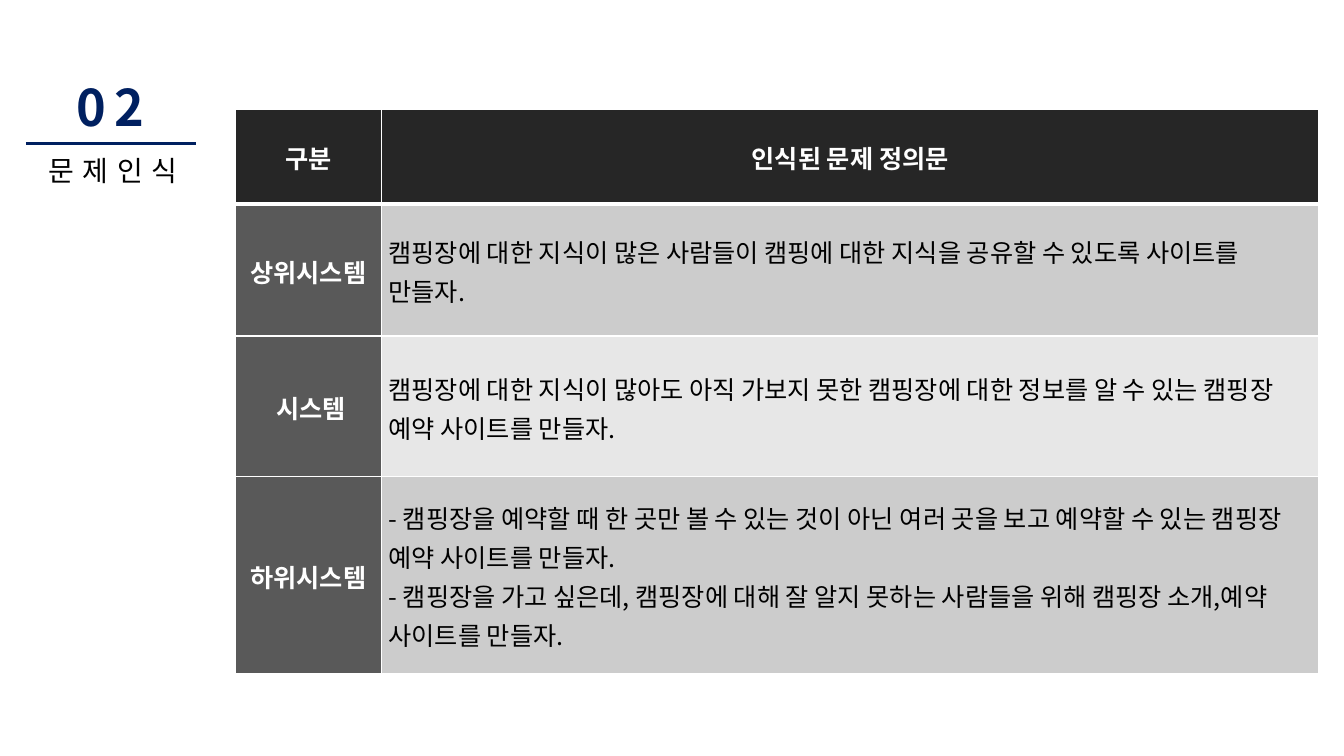
"""Builds the problem-definition slide with its three-level table."""
from lxml.etree import SubElement
from pptx import Presentation
from pptx.dml.color import RGBColor
from pptx.enum.shapes import MSO_CONNECTOR
from pptx.enum.text import MSO_ANCHOR, MSO_AUTO_SIZE, PP_ALIGN
from pptx.oxml.ns import qn
from pptx.util import Pt

FONT = "Noto Sans CJK KR"
COLORS = {"navy": "002060", "black": "000000", "white": "FFFFFF", "header": "262626",
          "label": "595959", "odd": "CCCCCC", "even": "E7E7E7"}
COL_WIDTHS = [104.5, 669.5]
ROW_HEIGHTS = [67.5, 94.5, 100.5, 140.5]
ROWS = [
    ("구분", ["인식된 문제 정의문"]),
    ("상위시스템", ["캠핑장에 대한 지식이 많은 사람들이 캠핑에 대한 지식을 공유할 수 있도록 사이트를 만들자."]),
    (" 시스템", ["캠핑장에 대한 지식이 많아도 아직 가보지 못한 캠핑장에 대한 정보를 알 수 있는 캠핑장 예약 사이트를 만들자."]),
    ("하위시스템", [
        "- 캠핑장을 예약할 때 한 곳만 볼 수 있는 것이 아닌 여러 곳을 보고 예약할 수 있는 캠핑장 예약 사이트를 만들자.",
        "- 캠핑장을 가고 싶은데, 캠핑장에 대해 잘 알지 못하는 사람들을 위해 캠핑장 소개,예약 사이트를 만들자."]),
]


def rgb(name):
    return RGBColor.from_string(COLORS[name])


def set_attrs(obj, **values):
    for key, value in values.items():
        setattr(obj, key, value)


def add_run(p, text, size, color, bold=False, spacing=0):
    r = p.add_run()
    r.text = text
    set_attrs(r.font, size=Pt(size), bold=bold, name=FONT)
    r.font.color.rgb = rgb(color)
    rPr = r.font._element
    SubElement(rPr, qn("a:ea")).set("typeface", FONT)
    if spacing:
        rPr.set("spc", str(spacing * 100))


def add_text(slide, box, text, size, color, align, bold=False):
    sp = slide.shapes.add_textbox(*map(Pt, box))
    tf = sp.text_frame
    set_attrs(tf, word_wrap=False, auto_size=MSO_AUTO_SIZE.SHAPE_TO_FIT_TEXT)
    p = tf.paragraphs[0]
    p.alignment = align
    add_run(p, text, size, color, bold, spacing=6)


def add_rule(slide, x1, x2, y):
    line = slide.shapes.add_connector(MSO_CONNECTOR.STRAIGHT, Pt(x1), Pt(y), Pt(x2), Pt(y))
    line.line.width = Pt(2)
    line.line.color.rgb = rgb("navy")
    SubElement(line._element.spPr, qn("a:effectLst"))


def set_borders(cell, top, bottom):
    tcPr = cell._tc.get_or_add_tcPr()
    for side, width in {"L": 1, "R": 1, "T": top, "B": bottom}.items():
        ln = SubElement(tcPr, qn(f"a:ln{side}"), w=str(Pt(width)))
        fill = SubElement(ln, qn("a:solidFill"))
        SubElement(fill, qn("a:srgbClr"), val=COLORS["white"])


def fill_cell(cell, lines, fill, color, bold, align, borders):
    set_borders(cell, *borders)
    set_attrs(cell, margin_left=Pt(5), margin_right=Pt(5), margin_top=0, margin_bottom=0,
              vertical_anchor=MSO_ANCHOR.MIDDLE)
    cell.fill.solid()
    cell.fill.fore_color.rgb = rgb(fill)
    tf = cell.text_frame
    for i, text in enumerate(lines):
        p = tf.add_paragraph() if i else tf.paragraphs[0]
        set_attrs(p, alignment=align, line_spacing=1.07)
        add_run(p, text, 18, color, bold)


def add_problem_table(slide, left, top):
    size = map(Pt, (left, top, sum(COL_WIDTHS), sum(ROW_HEIGHTS)))
    table = slide.shapes.add_table(len(ROWS), len(COL_WIDTHS), *size).table
    for col, width in zip(table.columns, COL_WIDTHS):
        col.width = Pt(width)
    for row, height in zip(table.rows, ROW_HEIGHTS):
        row.height = Pt(height)
    for i, (label, lines) in enumerate(ROWS):
        borders = (3 if i == 1 else 1, 3 if i == 0 else 1)
        heading = ("white", True, PP_ALIGN.CENTER, borders)
        body = ("black", False, PP_ALIGN.LEFT, borders)
        band = "odd" if i % 2 else "even"
        fill_cell(table.cell(i, 0), [label], "label" if i else "header", *heading)
        fill_cell(table.cell(i, 1), lines, band if i else "header", *(body if i else heading))


def main():
    prs = Presentation()
    set_attrs(prs, slide_width=Pt(960), slide_height=Pt(540))
    slide = prs.slides.add_slide(prs.slide_layouts[6])
    add_text(slide, (47.5, 50.5, 73.5, 51), "02", 36, "navy", PP_ALIGN.LEFT, bold=True)
    add_rule(slide, 18.5, 140, 102.5)
    add_text(slide, (21, 106, 119.5, 31.5), "문제인식", 20, "black", PP_ALIGN.CENTER)
    add_problem_table(slide, 168, 78)
    prs.save("out.pptx")


if __name__ == "__main__":
    main()
